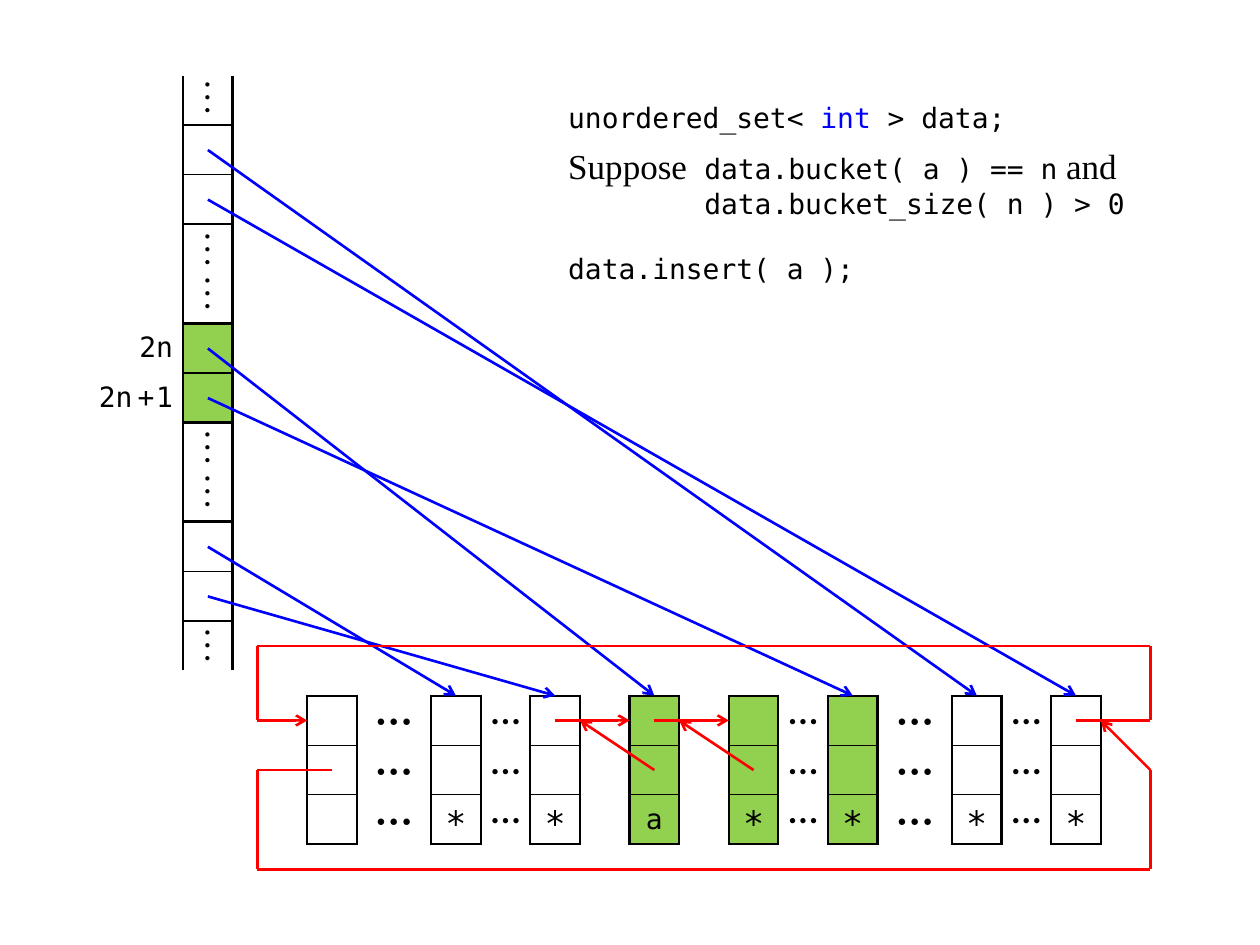
from dataclasses import dataclass, replace
from itertools import pairwise

from lxml import etree
from pptx import Presentation
from pptx.dml.color import RGBColor
from pptx.enum.shapes import MSO_CONNECTOR
from pptx.enum.text import MSO_ANCHOR, MSO_AUTO_SIZE, PP_ALIGN
from pptx.oxml.ns import qn
from pptx.util import Inches, Pt

STRAIGHT = MSO_CONNECTOR.STRAIGHT
TOP, MIDDLE, BOTTOM = MSO_ANCHOR.TOP, MSO_ANCHOR.MIDDLE, MSO_ANCHOR.BOTTOM
CENTER, RIGHT = PP_ALIGN.CENTER, PP_ALIGN.RIGHT
BLACK = RGBColor(0, 0, 0)
RED = RGBColor(255, 0, 0)
BLUE = RGBColor(0, 0, 255)
GREEN = RGBColor(0x92, 0xD0, 0x50)
MONO, SERIF, MATH = "DejaVu Sans Mono", "Times New Roman", "Cambria"

UNIT = 1 / 2.54
LEFT, UPPER = 1.65, 0.6
THICK, THIN = 1.5, 0.75


@dataclass(frozen=True)
class Cell:
    runs: tuple = ()
    size: int = 16
    font: str = MONO
    bold: bool = False
    align: PP_ALIGN = CENTER
    anchor: MSO_ANCHOR = MIDDLE
    side: float = 0
    fill: RGBColor | None = None
    borders: tuple = (0, 0, 0, 0)


@dataclass(frozen=True)
class Node:
    col: float
    mark: Cell
    fill: RGBColor | None = None


@dataclass(frozen=True)
class Gap:
    col: float
    width: float
    size: int


@dataclass(frozen=True)
class Route:
    color: RGBColor
    points: tuple


def grid_x(col: float):
    return Inches(LEFT + col * UNIT)


def grid_y(row: float):
    return Inches(UPPER + row * UNIT)


def add_run(p, text: str, *, size=16, font=MONO, color=BLACK, bold=False, spacing=0):
    r = p.add_run()
    r.text = text
    r.font.size = Pt(size)
    r.font.name = font
    r.font.bold = bold
    r.font.color.rgb = color
    if spacing:
        r._r.get_or_add_rPr().set("spc", str(spacing * 100))


def set_borders(cell, widths: tuple):
    tc_pr = cell._tc.get_or_add_tcPr()
    for side, width in zip("LRTB", widths):
        ln = etree.SubElement(tc_pr, qn(f"a:ln{side}"), w=str(Pt(width)))
        if width:
            fill = etree.SubElement(ln, qn("a:solidFill"))
            etree.SubElement(fill, qn("a:srgbClr"), val=str(BLACK))
        else:
            etree.SubElement(ln, qn("a:noFill"))


def draw_cell(cell, item: Cell):
    set_borders(cell, item.borders)
    if item.fill is None:
        cell.fill.background()
    else:
        cell.fill.solid()
        cell.fill.fore_color.rgb = item.fill
    cell.margin_top = cell.margin_bottom = 0
    cell.margin_left = cell.margin_right = Inches(item.side)
    cell.vertical_anchor = item.anchor
    p = cell.text_frame.paragraphs[0]
    p.alignment = item.align
    for text, spacing in item.runs:
        add_run(p, text, size=item.size, font=item.font, bold=item.bold, spacing=spacing)


def draw_table(slide, col: float, row: float, widths: tuple, rows: list):
    table = slide.shapes.add_table(
        len(rows), len(widths), grid_x(col), grid_y(row),
        Inches(sum(widths) * UNIT), Inches(len(rows) * UNIT)).table
    table.first_row = table.horz_banding = False
    for column, width in zip(table.columns, widths):
        column.width = Inches(width * UNIT)
    for i, items in enumerate(rows):
        table.rows[i].height = Inches(UNIT)
        for j, item in enumerate(items):
            draw_cell(table.cell(i, j), item)


def draw_node(slide, node: Node):
    edges = (THICK, THIN, THIN, THICK)
    rows = [[replace(item, fill=node.fill, borders=(THICK, THICK, *span))]
            for item, span in zip((Cell(), Cell(), node.mark), pairwise(edges))]
    draw_table(slide, node.col, 12.5, (1,), rows)


def draw_gap(slide, gap: Gap):
    dots = Cell((("⋯", 0),), size=gap.size, font=MATH, bold=True)
    draw_table(slide, gap.col, 12.5, (gap.width,), [[dots]] * 3)


def draw_buckets(slide):
    dots = Cell((("⋮", 0),), size=22, font=MATH)
    low, high = replace(dots, anchor=BOTTOM), replace(dots, anchor=TOP)
    green = Cell(fill=GREEN)
    cells = (dots, Cell(), Cell(), low, high, green, green, low, high, Cell(), Cell(), low)
    edges = (0,) + (THICK, THIN, THICK, 0) * 3
    label = Cell(align=RIGHT, side=0.08, borders=(0, THICK, 0, 0))
    labels = {5: (("2n", 0),), 6: (("2", 0), ("n", 3), ("+", 1), ("1", 0))}
    rows = [[replace(label, runs=labels.get(i, ())),
             replace(item, borders=(THICK, THICK, *span))]
            for i, (item, span) in enumerate(zip(cells, pairwise(edges)))]
    draw_table(slide, -2.5, 0, (2, 1), rows)


def draw_route(slide, route: Route):
    for start, end in pairwise(route.points):
        cx = slide.shapes.add_connector(
            STRAIGHT, grid_x(start[0]), grid_y(start[1]), grid_x(end[0]), grid_y(end[1]))
        cx.line.color.rgb = route.color
        cx.line.width = Pt(THICK)
        if end == route.points[-1]:
            etree.SubElement(cx.line._get_or_add_ln(), qn("a:tailEnd"), type="arrow")
        etree.SubElement(cx._element.spPr, qn("a:effectLst"))


def add_code_line(p, before: int, indent: float = 0):
    p.space_before = Pt(before)
    p_pr = p._p.get_or_add_pPr()
    p_pr.set("marL", str(Inches(indent)))
    p_pr.set("indent", str(-Inches(indent)))
    etree.SubElement(p_pr, qn("a:buNone"))
    return p


def draw_code(sp):
    sp.left, sp.top, sp.width, sp.height = map(Inches, (4.41, 0.8, 4.72, 1.57))
    tf = sp.text_frame
    tf.word_wrap = True
    tf.auto_size = MSO_AUTO_SIZE.NONE
    tf.vertical_anchor = TOP
    tf.margin_top = tf.margin_bottom = 0
    p = add_code_line(tf.paragraphs[0], 6)
    add_run(p, "unordered_set< ")
    add_run(p, "int", color=BLUE)
    add_run(p, " > data;")
    p = add_code_line(tf.add_paragraph(), 6, 1.08)
    add_run(p, "Suppose\t", size=20, font=SERIF)
    add_run(p, "data.bucket( a ) == n")
    add_run(p, " and ", size=20, font=SERIF)
    add_run(p, "data.bucket_size( n ) > 0")
    p = add_code_line(tf.add_paragraph(), 18)
    add_run(p, "data.insert( a );")


STAR = Cell((("*", 0),), size=20, anchor=BOTTOM)
NODES = (
    Node(2, Cell()), Node(4.5, STAR), Node(6.5, STAR),
    Node(8.5, Cell((("a", 0),)), GREEN), Node(10.5, STAR, GREEN), Node(12.5, STAR, GREEN),
    Node(15, STAR), Node(17, STAR),
)
GAPS = (Gap(3, 1.5, 22), Gap(5.5, 1, 18), Gap(11.5, 1, 18), Gap(13.5, 1.5, 22), Gap(16, 1, 18))
BUCKET_TARGETS = {1.5: 15.5, 2.5: 17.5, 5.5: 9, 6.5: 13, 9.5: 5, 10.5: 7}
ROUTES = [Route(BLUE, ((0, row), (col, 12.5))) for row, col in BUCKET_TARGETS.items()] + [
    Route(RED, ((17.5, 13), (19, 13), (19, 11.5), (1, 11.5), (1, 13), (2, 13))),
    Route(RED, ((2.5, 14), (1, 14), (1, 16), (19, 16), (19, 14), (18, 13))),
]
for x in (7, 9):
    ROUTES.append(Route(RED, ((x, 13), (x + 1.5, 13))))
    ROUTES.append(Route(RED, ((x + 2, 14), (x + 0.5, 13))))


def main():
    prs = Presentation()
    prs.slide_width, prs.slide_height = Inches(10), Inches(7.5)
    slide = prs.slides.add_slide(prs.slide_layouts[1])
    title = slide.shapes.title._element
    title.getparent().remove(title)
    draw_code(slide.placeholders[1])
    draw_buckets(slide)
    for node in NODES:
        draw_node(slide, node)
    for gap in GAPS:
        draw_gap(slide, gap)
    for route in ROUTES:
        draw_route(slide, route)
    prs.save("out.pptx")


if __name__ == "__main__":
    main()
